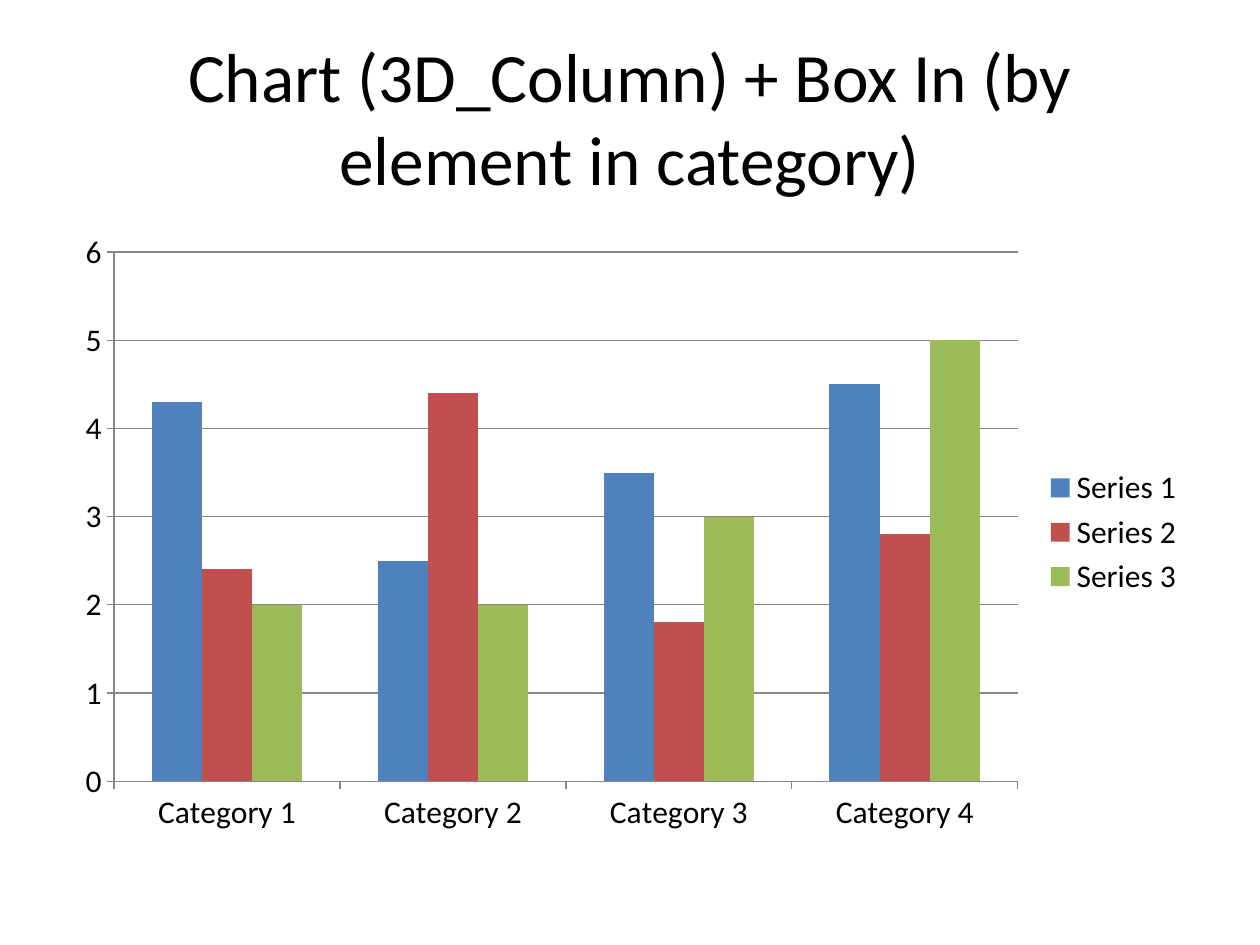
from pptx import Presentation
from pptx.chart.data import CategoryChartData
from pptx.dml.color import RGBColor
from pptx.enum.chart import XL_CHART_TYPE, XL_LEGEND_POSITION, XL_TICK_MARK
from pptx.enum.text import MSO_ANCHOR, MSO_AUTO_SIZE, PP_ALIGN
from pptx.util import Emu, Pt

PX = 9144  # 100 px to the inch
FONT = "Calibri"
COLORS = {
    "text": "000000",
    "axis": "878787",
    "Series 1": "4F81BD",
    "Series 2": "C0504D",
    "Series 3": "9BBB59",
}
SERIES_VALUES = {
    "Series 1": (4.3, 2.5, 3.5, 4.5),
    "Series 2": (2.4, 4.4, 1.8, 2.8),
    "Series 3": (2, 2, 3, 5),
}


def box(*lengths):
    return [Emu(length * PX) for length in lengths]


def style_font(font, size):
    font.name = FONT
    font.size = Pt(size)
    font.color.rgb = RGBColor.from_string(COLORS["text"])


presentation = Presentation()
presentation.slide_width, presentation.slide_height = box(1000, 750)
slide = presentation.slides.add_slide(presentation.slide_layouts[5])

# Title
title = slide.shapes.title
title.left, title.top, title.width, title.height = box(50, 30, 900, 125)
heading = title.text_frame
heading.word_wrap = True
heading.auto_size = MSO_AUTO_SIZE.NONE
heading.vertical_anchor = MSO_ANCHOR.MIDDLE
heading.paragraphs[0].alignment = PP_ALIGN.CENTER
heading_run = heading.paragraphs[0].add_run()
heading_run.text = "Chart (3D_Column) + Box In (by element in category)"
style_font(heading_run.font, 39.6)

# Column chart
category_data = CategoryChartData()
category_data.categories = [f"Category {number}" for number in range(1, 5)]
for series_name, values in SERIES_VALUES.items():
    category_data.add_series(series_name, values)
columns = slide.shapes.add_chart(
    XL_CHART_TYPE.COLUMN_CLUSTERED, *box(50, 175, 900, 495), category_data
).chart
columns.has_title = False
style_font(columns.font, 18)

plot = columns.plots[0]
plot.vary_by_categories = False
plot.gap_width = 150
plot.overlap = 0
for series in plot.series:
    series.format.fill.solid()
    series.format.fill.fore_color.rgb = RGBColor.from_string(COLORS[series.name])

# Axes and gridlines
columns.value_axis.minimum_scale = 0
columns.value_axis.maximum_scale = 6
columns.value_axis.major_unit = 1
columns.value_axis.has_major_gridlines = True
for axis in (columns.category_axis, columns.value_axis):
    axis.major_tick_mark = XL_TICK_MARK.OUTSIDE
    axis.minor_tick_mark = XL_TICK_MARK.NONE
for ruled in (columns.category_axis, columns.value_axis,
              columns.value_axis.major_gridlines):
    ruled.format.line.color.rgb = RGBColor.from_string(COLORS["axis"])
    ruled.format.line.width = Pt(0.75)

# Legend
columns.has_legend = True
columns.legend.position = XL_LEGEND_POSITION.RIGHT
columns.legend.include_in_layout = False

presentation.save("out.pptx")
